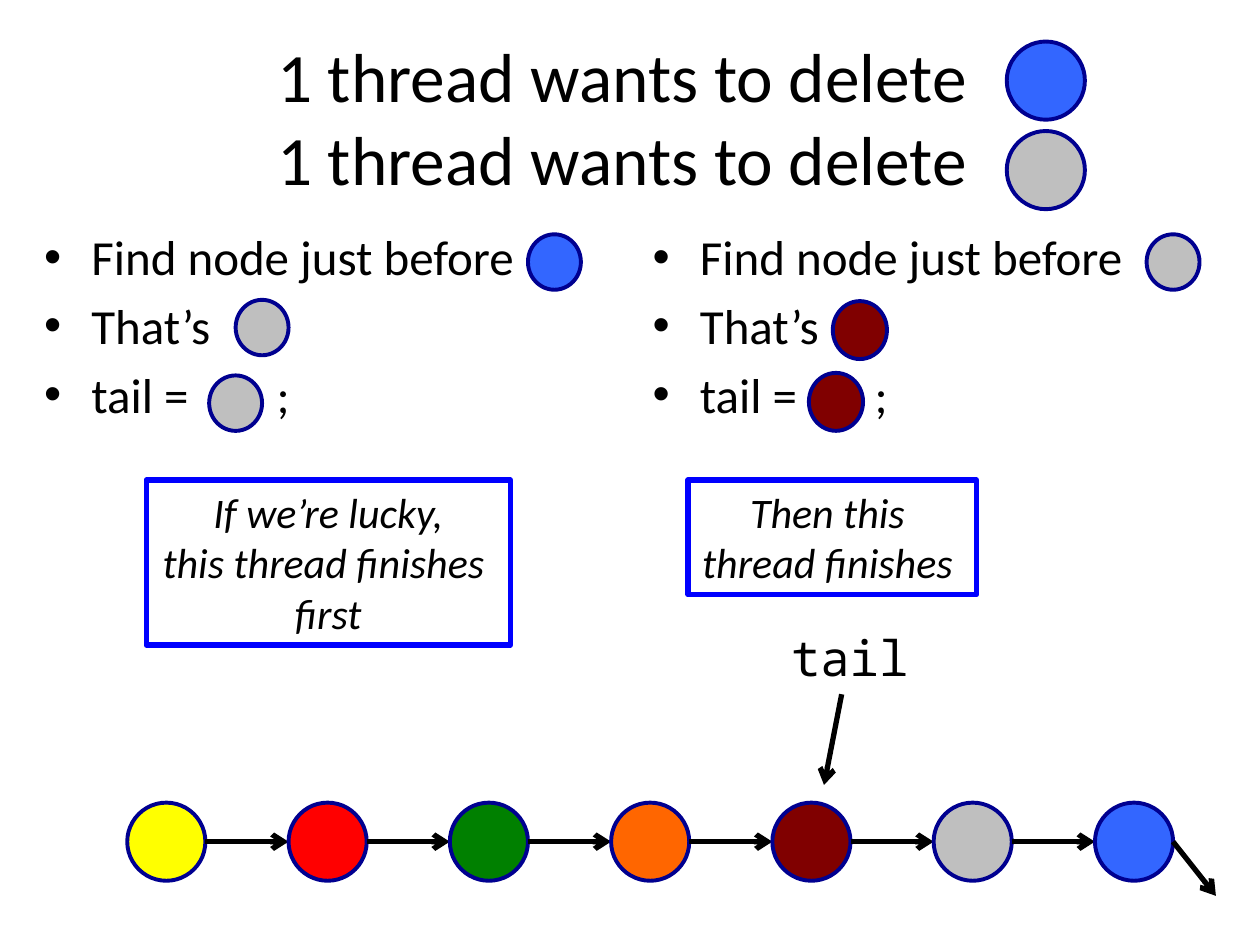
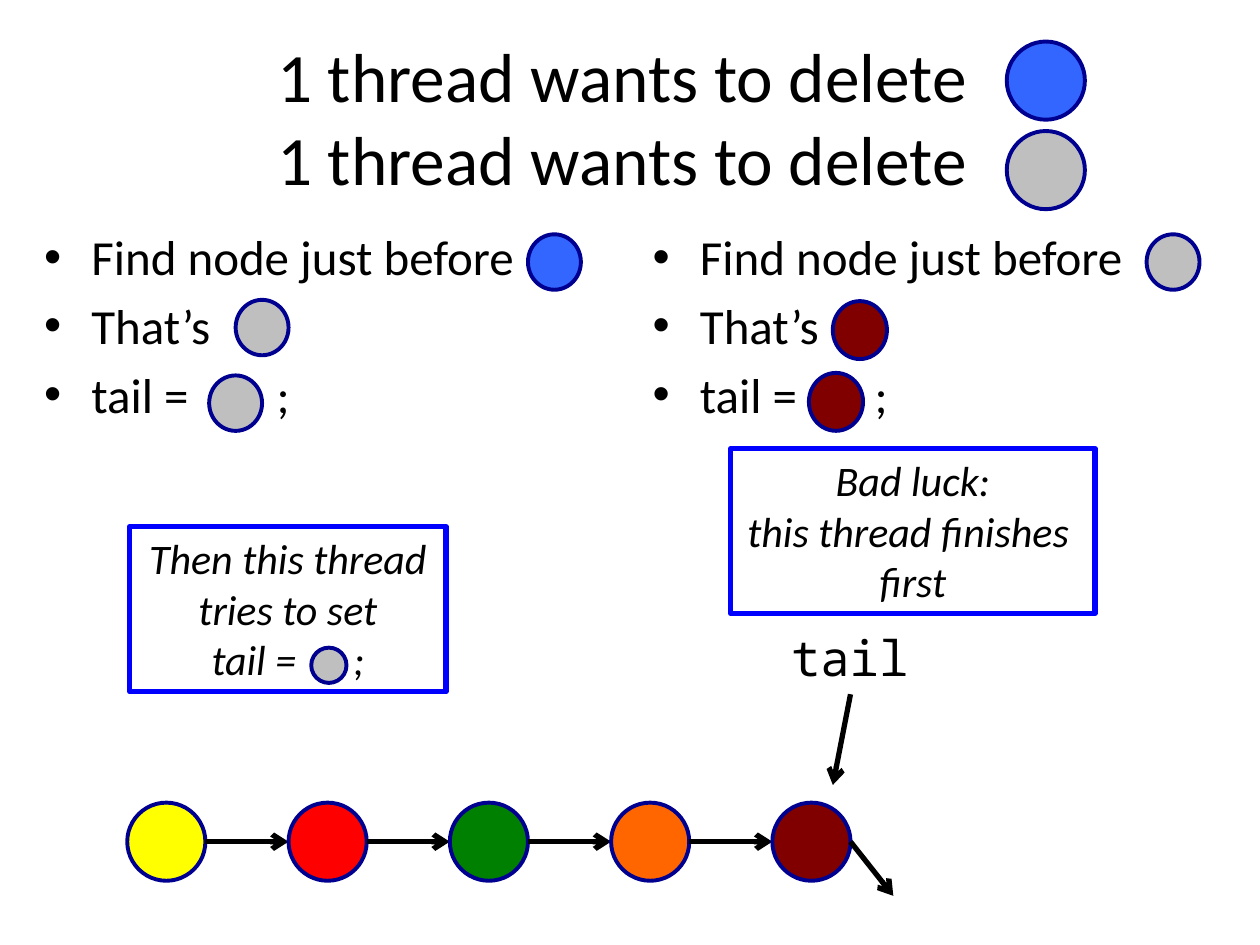
import dataclasses

import pptx
import pptx.dml.color
import pptx.enum.shapes
import pptx.enum.text
import pptx.oxml.ns
import pptx.util
from lxml import etree


@dataclasses.dataclass(frozen=True)
class Theme:
    text: str = "000000"
    node_outline: str = "000090"
    note_outline: str = "0000FF"
    yellow: str = "FFFF00"
    red: str = "FF0000"
    green: str = "008000"
    orange: str = "FF6600"
    maroon: str = "800000"
    gray: str = "BFBFBF"
    blue: str = "3366FF"
    font: str = "Calibri"
    code_font: str = "Noto Sans Mono"
    title_size: float = 39.6
    body_size: float = 28
    note_size: float = 24
    node_line: float = 2.25
    heavy_line: float = 3


THEME = Theme()
SLIDE_WIDTH = pptx.util.Inches(10)
SLIDE_HEIGHT = pptx.util.Inches(7.5)
COLUMNS, ROWS = 100, 75

NODE_SIZE = 6.2
CHAIN_LEFT, CHAIN_TOP, CHAIN_STEP = 10.1, 63.7, 12.8
CHAIN_COLORS = [THEME.yellow, THEME.red, THEME.green, THEME.orange,
                THEME.maroon, THEME.gray, THEME.blue]
TITLE = "\v".join(["1 thread wants to delete "] * 2)
STEPS = "Find node just before\nThat’s\ntail = ;"
TITLE_NODES = [(79.9, 3.3, THEME.blue), (79.9, 10.4, THEME.gray)]
STEP_NODES = [
    (41.9, 18.6, 4.2, 4.4, THEME.blue),
    (18.7, 23.8, 4.2, 4.4, THEME.gray),
    (16.6, 29.8, 4.2, 4.4, THEME.gray),
    (91, 18.6, 4.2, 4.4, THEME.gray),
    (66.1, 23.9, 4.3, 4.6, THEME.maroon),
    (64.2, 29.6, 4.3, 4.6, THEME.maroon),
]


def across(columns):
    return round(SLIDE_WIDTH * columns / COLUMNS)


def down(rows):
    return round(SLIDE_HEIGHT * rows / ROWS)


def frame(left, top, width, height):
    return across(left), down(top), across(width), down(height)


def color(value):
    return pptx.dml.color.RGBColor.from_string(value)


def format_text(text_frame, size, font=THEME.font, italic=None, alignment=None):
    for paragraph in text_frame.paragraphs:
        paragraph.alignment = alignment
        for run in paragraph.runs:
            run.font.name = font
            run.font.size = pptx.util.Pt(size)
            run.font.italic = italic
            run.font.color.rgb = color(THEME.text)


def widen_last_space(paragraph, points):
    before, after = paragraph.text.rsplit(" ", 1)
    paragraph.text = before
    space = paragraph.add_run()
    space.text = " "
    space._r.get_or_add_rPr().set("spc", str(points * 100))
    paragraph.add_run().text = after


def place(shape, left, top, width, height):
    shape.left, shape.top, shape.width, shape.height = frame(left, top, width, height)


def fill_title(slide):
    title = slide.shapes.title
    place(title, 5, 3, 90, 12.5)
    title.text_frame.text = TITLE
    title.text_frame.auto_size = pptx.enum.text.MSO_AUTO_SIZE.NONE
    title.text_frame.vertical_anchor = pptx.enum.text.MSO_ANCHOR.MIDDLE
    format_text(title.text_frame, THEME.title_size,
                alignment=pptx.enum.text.PP_ALIGN.CENTER)


def fill_steps(placeholder, left, width, gap):
    place(placeholder, left, 17.5, width, 49.5)
    text_frame = placeholder.text_frame
    text_frame.text = STEPS
    text_frame.auto_size = pptx.enum.text.MSO_AUTO_SIZE.NONE
    widen_last_space(text_frame.paragraphs[-1], gap)
    format_text(text_frame, THEME.body_size)


def add_node(slide, left, top, fill, width=NODE_SIZE, height=NODE_SIZE):
    node = slide.shapes.add_shape(pptx.enum.shapes.MSO_SHAPE.OVAL,
                                  *frame(left, top, width, height))
    node.shadow.inherit = False
    node.fill.solid()
    node.fill.fore_color.rgb = color(fill)
    node.line.color.rgb = color(THEME.node_outline)
    node.line.width = pptx.util.Pt(THEME.node_line)


def add_arrow(slide, start, end):
    arrow = slide.shapes.add_connector(
        pptx.enum.shapes.MSO_CONNECTOR.STRAIGHT,
        across(start[0]), down(start[1]), across(end[0]), down(end[1]))
    arrow.line.color.rgb = color(THEME.text)
    arrow.line.width = pptx.util.Pt(THEME.heavy_line)
    qualified = pptx.oxml.ns.qn
    etree.SubElement(arrow.line._get_or_add_ln(), qualified("a:tailEnd"), type="arrow")
    etree.SubElement(arrow._element.spPr, qualified("a:effectLst"))


def add_text(slide, text, left, top, width, height):
    box = slide.shapes.add_textbox(*frame(left, top, width, height))
    box.text_frame.text = text
    box.text_frame.word_wrap = False
    box.text_frame.auto_size = pptx.enum.text.MSO_AUTO_SIZE.SHAPE_TO_FIT_TEXT
    return box


def add_note(slide, text, left, top, width, height, gap=None):
    note = add_text(slide, text, left, top, width, height)
    note.line.color.rgb = color(THEME.note_outline)
    note.line.width = pptx.util.Pt(THEME.heavy_line)
    if gap:
        widen_last_space(note.text_frame.paragraphs[-1], gap)
    format_text(note.text_frame, THEME.note_size, italic=True,
                alignment=pptx.enum.text.PP_ALIGN.CENTER)


def add_chain(slide, colors):
    middle = CHAIN_TOP + NODE_SIZE / 2
    for index, fill in enumerate(colors):
        left = CHAIN_LEFT + index * CHAIN_STEP
        right = left + NODE_SIZE
        add_node(slide, left, CHAIN_TOP, fill)
        if index < len(colors) - 1:
            add_arrow(slide, (right, middle), (left + CHAIN_STEP, middle))
        else:
            add_arrow(slide, (right, middle), (right + 3.4, middle + 4.3))


def add_tail_pointer(slide, start):
    label = add_text(slide, "tail", 61.8, 49.3, 11.4, 5.7)
    format_text(label.text_frame, THEME.body_size, font=THEME.code_font)
    add_arrow(slide, (start, 55.1), (start - 1.4, 62.3))


def add_thread_slide(presentation, chain_colors, tail_start):
    slide = presentation.slides.add_slide(
        presentation.slide_layouts.get_by_name("Two Content"))
    fill_title(slide)
    fill_steps(slide.placeholders[1], 2.5, 46.7, gap=44)
    fill_steps(slide.placeholders[2], 50.8, 44.2, gap=38)
    add_chain(slide, chain_colors)
    for left, top, fill in TITLE_NODES:
        add_node(slide, left, top, fill)
    for left, top, width, height, fill in STEP_NODES:
        add_node(slide, left, top, fill, width, height)
    add_tail_pointer(slide, tail_start)
    return slide


def main():
    presentation = pptx.Presentation()
    presentation.slide_width = SLIDE_WIDTH
    presentation.slide_height = SLIDE_HEIGHT

    lucky = add_thread_slide(presentation, CHAIN_COLORS, 66.8)
    add_note(lucky, "If we’re lucky,\nthis thread finishes \nfirst", 11.6, 38.1, 28.9, 13.1)
    add_note(lucky, "Then this \nthread finishes ", 54.6, 38.1, 22.9, 9.1)

    unlucky = add_thread_slide(presentation, CHAIN_COLORS[:5], 67.5)
    add_note(unlucky, "Bad luck:\nthis thread finishes \nfirst", 58, 35.6, 28.9, 13.1)
    add_note(unlucky, "Then this thread\ntries to set\ntail = ;", 10.3, 41.8, 25.1, 13.1, gap=27)
    add_node(unlucky, 24.7, 51.4, THEME.gray, 2.8, 2.8)

    presentation.save("out.pptx")


if __name__ == "__main__":
    main()
